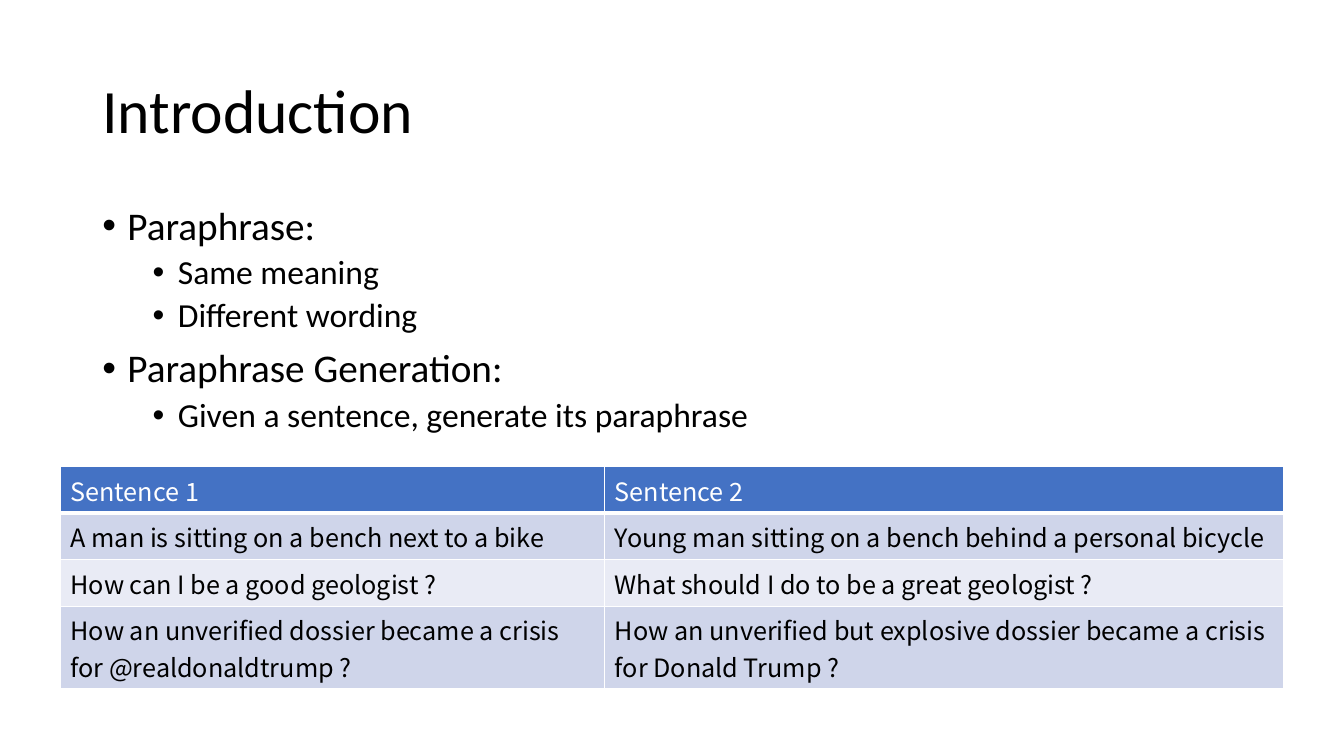
from lxml import etree
from pptx import Presentation
from pptx.dml.color import RGBColor
from pptx.enum.text import MSO_ANCHOR
from pptx.oxml.ns import qn
from pptx.util import Pt

MIDDLE = MSO_ANCHOR.MIDDLE
BODY_FONT = "Calibri"
TABLE_FONT = "Noto Sans CJK SC"


def color(hex_string):
    return RGBColor.from_string(hex_string)


def format_runs(paragraph, font_name, size, hex_string):
    for run in paragraph.runs:
        run.font.name = font_name
        run.font.size = Pt(size)
        run.font.bold = False
        run.font.color.rgb = color(hex_string)


presentation = Presentation()
presentation.slide_width = Pt(960)
presentation.slide_height = Pt(540)
slide = presentation.slides.add_slide(presentation.slide_layouts[6])

title = slide.shapes.add_textbox(Pt(66), Pt(28.75), Pt(828), Pt(104.4))
title.text_frame.word_wrap = True
title.text_frame.vertical_anchor = MIDDLE
title.text_frame.text = "Introduction"
title_paragraph = title.text_frame.paragraphs[0]
title_paragraph.line_spacing = 0.9
format_runs(title_paragraph, BODY_FONT, 44, "000000")

sentence_rows = [
    ("Sentence 1", "Sentence 2"),
    ("A man is sitting on a bench next to a bike",
     "Young man sitting on a bench behind a personal bicycle"),
    ("How can I be a good geologist ?",
     "What should I do to be a great geologist ?"),
    ("How an unverified dossier became a crisis for @realdonaldtrump ?",
     "How an unverified but explosive dossier became a crisis for Donald Trump ?"),
]
column_widths = [388.8, 484.6]
row_heights = [33.25, 33.25, 33.25, 59]

table = slide.shapes.add_table(
    len(row_heights), len(column_widths), Pt(43.2), Pt(333.4),
    Pt(sum(column_widths)), Pt(sum(row_heights))).table
for column, width in zip(table.columns, column_widths):
    column.width = Pt(width)
for row, height in zip(table.rows, row_heights):
    row.height = Pt(height)

for row_index, sentences in enumerate(sentence_rows):
    is_header = row_index == 0
    if is_header:
        fill_color, text_color = "4472C4", "FFFFFF"
    else:
        fill_color = "CFD5EA" if row_index % 2 else "E9EBF5"
        text_color = "000000"
    border_widths = {
        "a:lnL": 1,
        "a:lnR": 1,
        "a:lnT": 1,
        "a:lnB": 3 if is_header else 1,
    }
    for column_index, sentence in enumerate(sentences):
        cell = table.cell(row_index, column_index)
        cell.text_frame.text = sentence
        format_runs(cell.text_frame.paragraphs[0], TABLE_FONT, 18, text_color)
        properties = cell._tc.get_or_add_tcPr()
        for tag, width in border_widths.items():
            border = etree.SubElement(properties, qn(tag), w=str(Pt(width)))
            border_fill = etree.SubElement(border, qn("a:solidFill"))
            etree.SubElement(border_fill, qn("a:srgbClr"), val="FFFFFF")
        cell.fill.solid()
        cell.fill.fore_color.rgb = color(fill_color)

outline = [
    (0, "Paraphrase:"),
    (1, "Same meaning"),
    (1, "Different wording"),
    (0, "Paraphrase Generation:"),
    (1, "Given a sentence, generate its paraphrase"),
]
level_styles = [(28, 10, 18), (24, 5, 54)]

body = slide.shapes.add_textbox(Pt(66), Pt(143.75), Pt(828), Pt(342.6))
body.text_frame.word_wrap = True
body.text_frame.text = "\n".join(text for level, text in outline)
for index, (level, text) in enumerate(outline):
    size, space_before, indent = level_styles[level]
    paragraph = body.text_frame.paragraphs[index]
    paragraph.level = level
    paragraph.line_spacing = 0.9
    if index:
        paragraph.space_before = Pt(space_before)
    properties = paragraph._p.get_or_add_pPr()
    properties.set("marL", str(Pt(indent)))
    properties.set("indent", str(Pt(-18)))
    etree.SubElement(properties, qn("a:buFont"), typeface="Arial")
    etree.SubElement(properties, qn("a:buChar"), char="•")
    format_runs(paragraph, BODY_FONT, size, "000000")

presentation.save("out.pptx")
